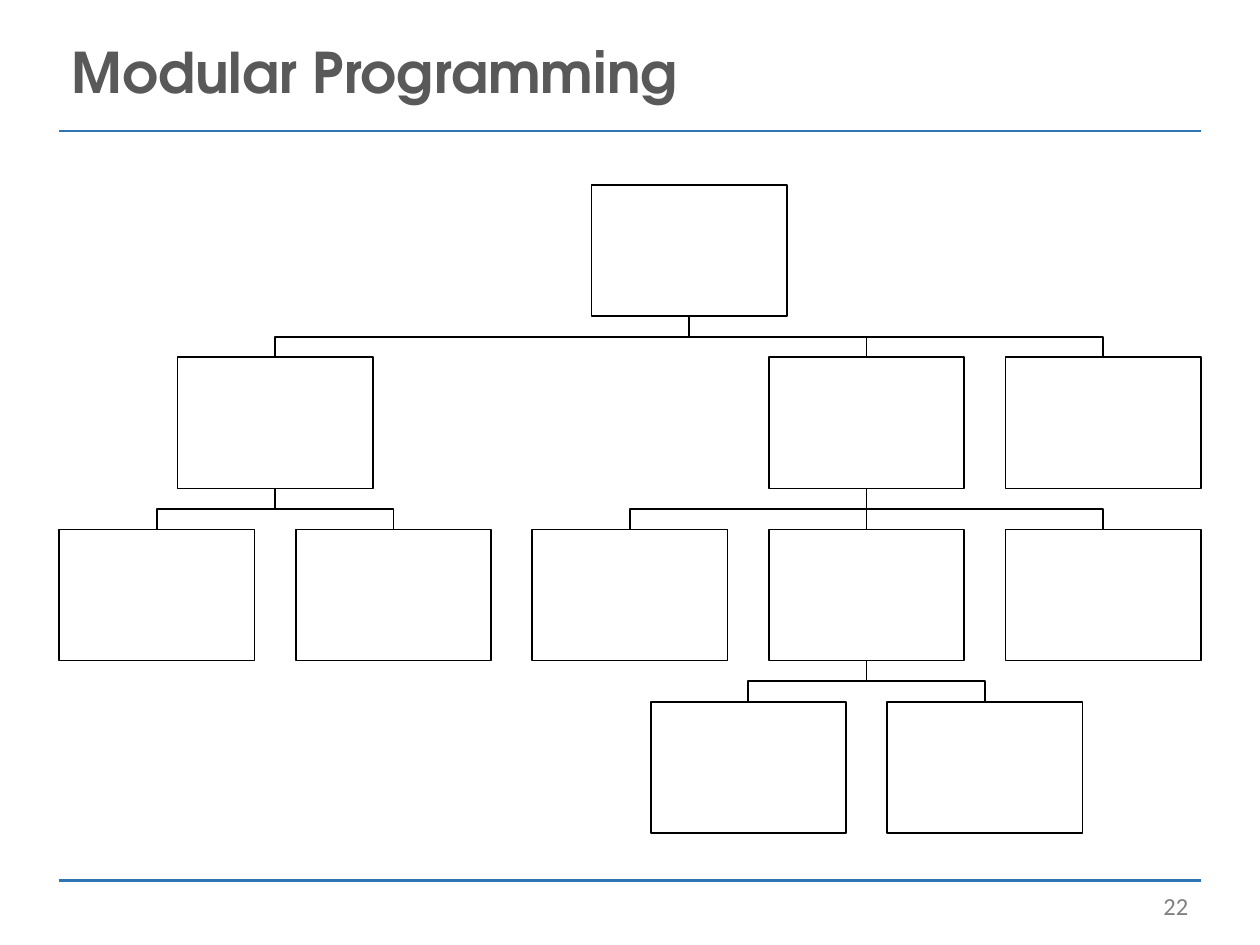
from dataclasses import dataclass

from lxml import etree
from pptx import Presentation
from pptx.dml.color import RGBColor
from pptx.enum import shapes, text
from pptx.oxml.ns import qn
from pptx.util import Inches, Pt

COLORS = {"rule": "2E75B6", "title": "595959", "number": "808080",
          "line": "000000", "box": "FFFFFF"}
LEFT, RIGHT = 0.47, 9.53
BOX_W, BOX_H = 1.55, 1.04
COL_STEP = (RIGHT - LEFT - BOX_W) / 4
TOP, ROW_STEP = 1.47, 4.1 / 3


@dataclass(frozen=True)
class Module:
    """A box in the tree; col counts box steps from the left edge."""
    name: str
    parent: str
    col: float
    row: int

    @property
    def left(self) -> float:
        return LEFT + self.col * COL_STEP

    @property
    def top(self) -> float:
        return TOP + self.row * ROW_STEP

    @property
    def center(self) -> float:
        return self.left + BOX_W / 2


MODULES = [
    Module("main", "", 2.25, 0),
    Module("a", "main", 0.5, 1),
    Module("b", "main", 3, 1),
    Module("c", "main", 4, 1),
    Module("a1", "a", 0, 2),
    Module("a2", "a", 1, 2),
    Module("b1", "b", 2, 2),
    Module("b2", "b", 3, 2),
    Module("b3", "b", 4, 2),
    Module("b2x", "b2", 2.5, 3),
    Module("b2y", "b2", 3.5, 3),
]


def rgb(name: str) -> RGBColor:
    return RGBColor.from_string(COLORS[name])


def style_line(sp, color: str, width: float) -> None:
    sp.line.color.rgb = rgb(color)
    sp.line.width = Pt(width)


def add_line(slide, x1: float, y1: float, x2: float, y2: float,
             color: str, width: float):
    line = slide.shapes.add_connector(
        shapes.MSO_CONNECTOR.STRAIGHT,
        Inches(x1), Inches(y1), Inches(x2), Inches(y2))
    style_line(line, color, width)
    etree.SubElement(line._element.spPr, qn("a:effectLst"))
    return line


def add_box(slide, module: Module):
    sp = slide.shapes.add_shape(
        shapes.MSO_SHAPE.RECTANGLE, Inches(module.left), Inches(module.top),
        Inches(BOX_W), Inches(BOX_H))
    sp.shadow.inherit = False
    sp.fill.solid()
    sp.fill.fore_color.rgb = rgb("box")
    style_line(sp, "line", 1)
    return sp


def add_link(slide, parent: Module, child: Module, boxes: dict) -> None:
    """Join a parent's bottom to a child's top, bending halfway if needed."""
    start, end = parent.top + BOX_H, child.top
    if parent.col == child.col:
        line = add_line(slide, parent.center, start, child.center, end, "line", 1)
        line.begin_connect(boxes[parent.name], 2)
        line.end_connect(boxes[child.name], 0)
        return
    middle = (start + end) / 2
    bends = [(parent.center, middle), (child.center, middle), (child.center, end)]
    builder = slide.shapes.build_freeform(Inches(parent.center), Inches(start))
    builder.add_line_segments([(Inches(x), Inches(y)) for x, y in bends], close=False)
    sp = builder.convert_to_shape()
    sp.shadow.inherit = False
    sp.fill.background()
    style_line(sp, "line", 1)


def format_text(sp, content: str, font: str, size: int, color: str, align) -> None:
    tf = sp.text_frame
    tf.word_wrap = True
    tf.auto_size = text.MSO_AUTO_SIZE.NONE
    tf.vertical_anchor = text.MSO_ANCHOR.MIDDLE
    p = tf.paragraphs[0]
    p.text = content
    p.alignment = align
    p.font.name = font
    p.font.size = Pt(size)
    p.font.color.rgb = rgb(color)


def main() -> None:
    prs = Presentation()
    prs.slide_width, prs.slide_height = Inches(10), Inches(7.5)
    slide = prs.slides.add_slide(prs.slide_layouts[5])

    for y in (6.99, 1.04):
        add_line(slide, LEFT, y, RIGHT, y, "rule", 1.5)

    number = slide.shapes.add_textbox(
        Inches(8.27), Inches(7.03), Inches(1.26), Inches(0.32))
    format_text(number, "22", "Calibri", 14, "number", text.PP_ALIGN.RIGHT)

    title = slide.shapes.title
    title.left, title.top = Inches(LEFT), Inches(0.26)
    title.width, title.height = Inches(RIGHT - LEFT), Inches(0.67)
    format_text(title, "Modular Programming", "TeX Gyre Adventor", 32,
                "title", text.PP_ALIGN.LEFT)
    p = title.text_frame.paragraphs[0]
    p.font.bold = True
    p.line_spacing = 0.9

    boxes = {module.name: add_box(slide, module) for module in MODULES}
    by_name = {module.name: module for module in MODULES}
    for module in MODULES:
        if module.parent:
            add_link(slide, by_name[module.parent], module, boxes)

    prs.save("out.pptx")


if __name__ == "__main__":
    main()
